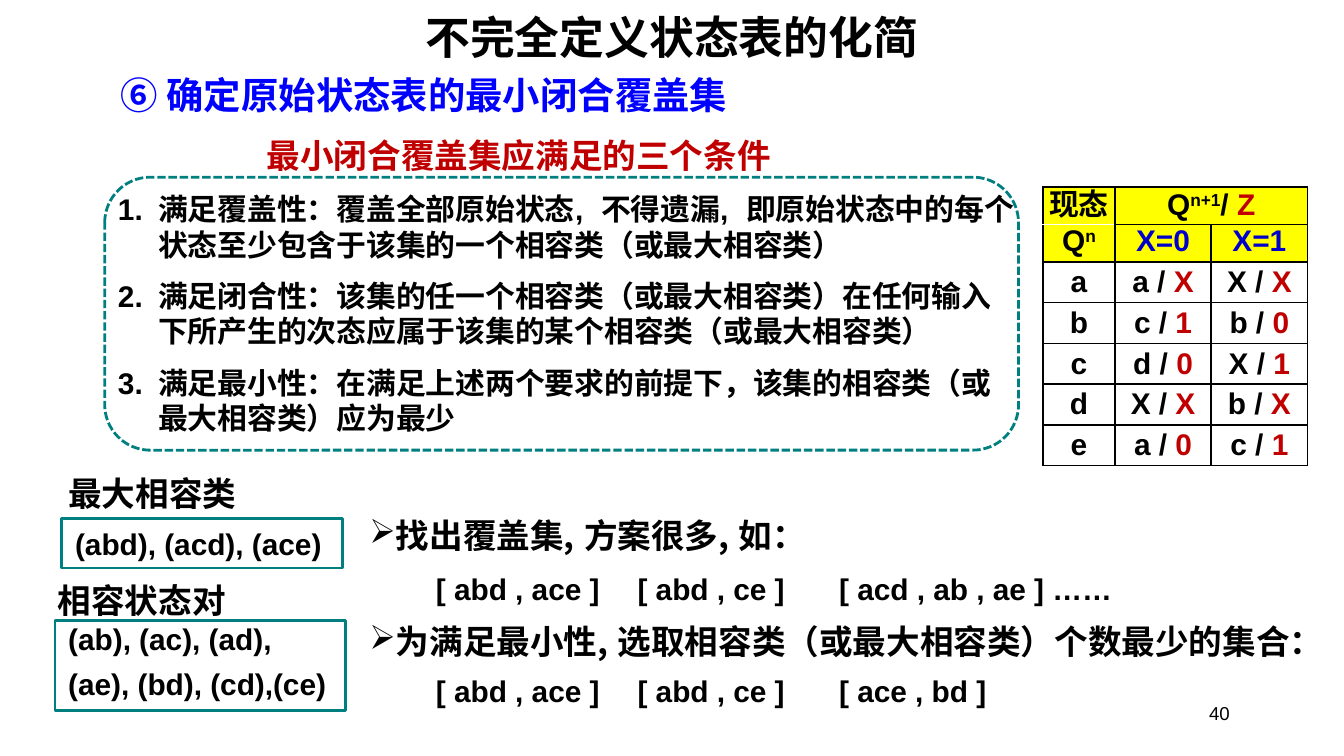
from lxml import etree
from pptx import Presentation
from pptx.dml import color
from pptx.enum import dml, shapes, text
from pptx.oxml import ns
from pptx.util import Cm, Pt

ARIAL, NOTO = "Arial", "Noto Sans CJK SC"
BLACK, RED, BLUE, NAVY = "000000", "C00000", "0000FF", "0000CC"
TEAL, YELLOW = "007F80", "FFFF00"
CENTER, RIGHT = text.PP_ALIGN.CENTER, text.PP_ALIGN.RIGHT
MIDDLE, BOTTOM = text.MSO_ANCHOR.MIDDLE, text.MSO_ANCHOR.BOTTOM

CONDITIONS = [
    "满足覆盖性：覆盖全部原始状态, 不得遗漏, 即原始状态中的每个状态至少包含于该集的一个相容类（或最大相容类）",
    "满足闭合性：该集的任一个相容类（或最大相容类）在任何输入下所产生的次态应属于该集的某个相容类（或最大相容类）",
    "满足最小性：在满足上述两个要求的前提下，该集的相容类（或最大相容类）应为最少",
]
STATES = [("a", "X", "X", "X"), ("c", "1", "b", "0"), ("d", "0", "X", "1"),
          ("X", "X", "b", "X"), ("a", "0", "c", "1")]


def rgb(value):
    """Turn a hex string into a colour."""
    return color.RGBColor.from_string(value)


def child(parent, tag, **attributes):
    """Append a drawing element and return it."""
    return etree.SubElement(parent, ns.qn("a:" + tag), attributes)


def apply(target, values):
    """Set every attribute named in a dict."""
    for name, value in values.items():
        setattr(target, name, value)


def add_span(para, words, size=16, tone=BLACK, face=ARIAL, bold=True, **extra):
    """Add a run with its East Asian font and extra run properties."""
    span = para.add_run()
    span.text = words
    apply(span.font, {"size": Pt(size), "bold": bold, "name": face})
    span.font.color.rgb = rgb(tone)
    properties = span.font._element
    for name, value in extra.items():
        properties.set(name, value)
    properties.find(ns.qn("a:latin")).addnext(
        etree.Element(ns.qn("a:ea"), typeface=NOTO))


def add_chinese(para, words, **style):
    """Add Chinese text whose half-width commas are set wide."""
    for index, part in enumerate(words.split(",")):
        if index:
            add_span(para, ",", spc="500", **style)
        add_span(para, part, **style)


def add_para(frame, bullet=None, tabs=(), margin=0, hanging=0, **layout):
    """Take the empty first paragraph or add one, then lay it out."""
    para = frame.paragraphs[0]
    if para.runs:
        para = frame.add_paragraph()
    properties = para._p.get_or_add_pPr()
    properties.set("marL", str(Cm(margin)))
    properties.set("indent", str(-Cm(hanging)))
    if bullet:
        child(properties, "buChar", char=bullet)
    if tabs:
        stops = child(properties, "tabLst")
        for place in tabs:
            child(stops, "tab", pos=str(Cm(place)), algn="l")
    apply(para, layout)
    return para


def add_box(page, left, top, width, height, anchor=text.MSO_ANCHOR.TOP):
    """Add a wrapping text box and return its frame."""
    box = page.shapes.add_textbox(Cm(left), Cm(top), Cm(width), Cm(height))
    apply(box.text_frame, {"word_wrap": True, "vertical_anchor": anchor})
    return box.text_frame


def add_label(page, left, top, width, height, words, size, tone=BLACK):
    """Add a one-line Chinese label."""
    frame = add_box(page, left, top, width, height)
    para = add_para(frame, line_spacing=Pt(size + 4))
    add_chinese(para, words, size=size, tone=tone, face=NOTO)


def add_outline(page, kind, left, top, width, height, dash=None):
    """Add an unfilled teal outline and return its frame."""
    shape = page.shapes.add_shape(kind, Cm(left), Cm(top), Cm(width), Cm(height))
    shape.shadow.inherit = False
    shape.fill.background()
    shape.line.color.rgb = rgb(TEAL)
    apply(shape.line, {"width": Pt(1.5), "dash_style": dash})
    shape.text_frame.word_wrap = True
    return shape.text_frame


def add_classes(page, top, height, left, width, lines, anchor, spacing):
    """Add a framed list of compatible classes."""
    frame = add_outline(page, shapes.MSO_SHAPE.RECTANGLE, left, top, width, height)
    frame.vertical_anchor = anchor
    for index, line in enumerate(lines):
        para = add_para(frame, alignment=text.PP_ALIGN.LEFT, line_spacing=spacing,
                        space_before=Pt(9 if index else 0))
        add_span(para, line)


def add_step(page, top, width, height, heading, covers, tabs, gap):
    """Add a bulleted step with its example covers on tab stops."""
    frame = add_box(page, 6.73, top, width, height)
    add_chinese(add_para(frame, bullet="➢", line_spacing=Pt(22)), heading,
                size=18, face=NOTO)
    para = add_para(frame, margin=1.26, tabs=tabs, space_before=Pt(gap))
    add_span(para, "\t".join(covers))


def add_conditions(page):
    """Add the three conditions inside their dashed frame."""
    add_outline(page, shapes.MSO_SHAPE.ROUNDED_RECTANGLE, 1.98, 3.35, 17.27, 5.16,
                dml.MSO_LINE.SQUARE_DOT)
    frame = add_box(page, 1.98, 2.41, 17.58, 6.1)
    add_span(add_para(frame, margin=2.81, line_spacing=Pt(22)),
             "最小闭合覆盖集应满足的三个条件", size=18, tone=RED)
    for number, words in enumerate(CONDITIONS, 1):
        para = add_para(frame, margin=0.76, hanging=0.76, line_spacing=Pt(19),
                        space_before=Pt(8.6))
        add_chinese(para, f"{number}.\t{words}")


def fill_cell(cell, spans, fill=None, edges="LRTB", anchor=MIDDLE, **layout):
    """Write one table cell with its fill and borders."""
    apply(cell, {"margin_left": 0, "margin_right": 0, "margin_top": 0,
                 "margin_bottom": 0, "vertical_anchor": anchor})
    para = add_para(cell.text_frame, alignment=CENTER, **layout)
    for words, style in spans:
        add_span(para, words, **style)
    properties = cell._tc.get_or_add_tcPr()
    for edge in edges:
        line = child(properties, "ln" + edge, w=str(Pt(1)))
        child(child(line, "solidFill"), "srgbClr", val=BLACK)
    if fill:
        cell.fill.solid()
        cell.fill.fore_color.rgb = rgb(fill)
    else:
        cell.fill.background()


def add_state_table(page):
    """Add the state table with next states and outputs."""
    table = page.shapes.add_table(7, 3, Cm(19.71), Cm(3.53), Cm(5), Cm(5.27)).table
    apply(table, {"first_row": False, "horz_banding": False})
    for column, width in zip(table.columns, (1.36, 1.82, 1.82)):
        column.width = Cm(width)
    for index, row in enumerate(table.rows):
        row.height = Cm(0.71 if index < 2 else 0.77)
    raised = {"baseline": "30000"}
    table.cell(0, 1).merge(table.cell(0, 2))
    fill_cell(table.cell(0, 0), [("现态", {"face": NOTO})], YELLOW, "LRT", BOTTOM,
              line_spacing=Pt(19))
    fill_cell(table.cell(0, 1), [("Q", {}), ("n+1", raised), ("/ ", {}),
                                 ("Z", {"tone": RED})], YELLOW)
    fill_cell(table.cell(1, 0), [("Q", {}), ("n", raised)], YELLOW, "LRB",
              text.MSO_ANCHOR.TOP)
    for column in (1, 2):
        fill_cell(table.cell(1, column), [(f"X={column - 1}", {"tone": NAVY})],
                  YELLOW, anchor=text.MSO_ANCHOR.TOP)
    for row, (name, values) in enumerate(zip("abcde", STATES), 2):
        fill_cell(table.cell(row, 0), [(name, {})])
        for column in (1, 2):
            state, output = values[2 * column - 2:2 * column]
            fill_cell(table.cell(row, column),
                      [(state + " / ", {}), (output, {"tone": RED})])


def main():
    """Build the slide and save it."""
    deck = Presentation()
    apply(deck, {"slide_width": Cm(25.4), "slide_height": Cm(14.29)})
    page = deck.slides.add_slide(deck.slide_layouts[6])
    title = add_box(page, 1.9, 0.23, 21.59, 0.91, MIDDLE)
    add_span(add_para(title, alignment=CENTER), "不完全定义状态表的化简",
             size=24, face=NOTO)
    add_label(page, 2.03, 1.24, 12.88, 1.12, "⑥ 确定原始状态表的最小闭合覆盖集", 20, BLUE)
    add_conditions(page)
    add_state_table(page)
    add_label(page, 1.04, 8.81, 3.76, 1.02, "最大相容类", 18)
    add_classes(page, 9.8, 0.94, 1.17, 5.31, ["(abd), (acd), (ace)"], MIDDLE, 1.0)
    add_label(page, 0.84, 10.82, 3.96, 1.02, "相容状态对", 18)
    add_classes(page, 11.73, 1.7, 1.04, 5.49,
                ["(ab), (ac), (ad),", "(ae), (bd), (cd),(ce)"],
                text.MSO_ANCHOR.TOP, 0.8)
    add_step(page, 9.6, 14.96, 2.06, "找出覆盖集,方案很多,如：",
             ["[ abd , ace ]", "[ abd , ce ]", "[ acd , ab , ae ] ……"],
             (4.97, 8.22), 8)
    add_step(page, 11.6, 18.67, 1.93,
             "为满足最小性,选取相容类（或最大相容类）个数最少的集合：",
             ["[ abd , ace ]", "[ abd , ce ]", "[ ace , bd ]"], (4.67, 7.75), 6)
    number = add_box(page, 18.21, 13, 5.28, 0.97, MIDDLE)
    add_span(add_para(number, alignment=RIGHT), "40", size=10, bold=False)
    deck.save("out.pptx")


if __name__ == "__main__":
    main()
